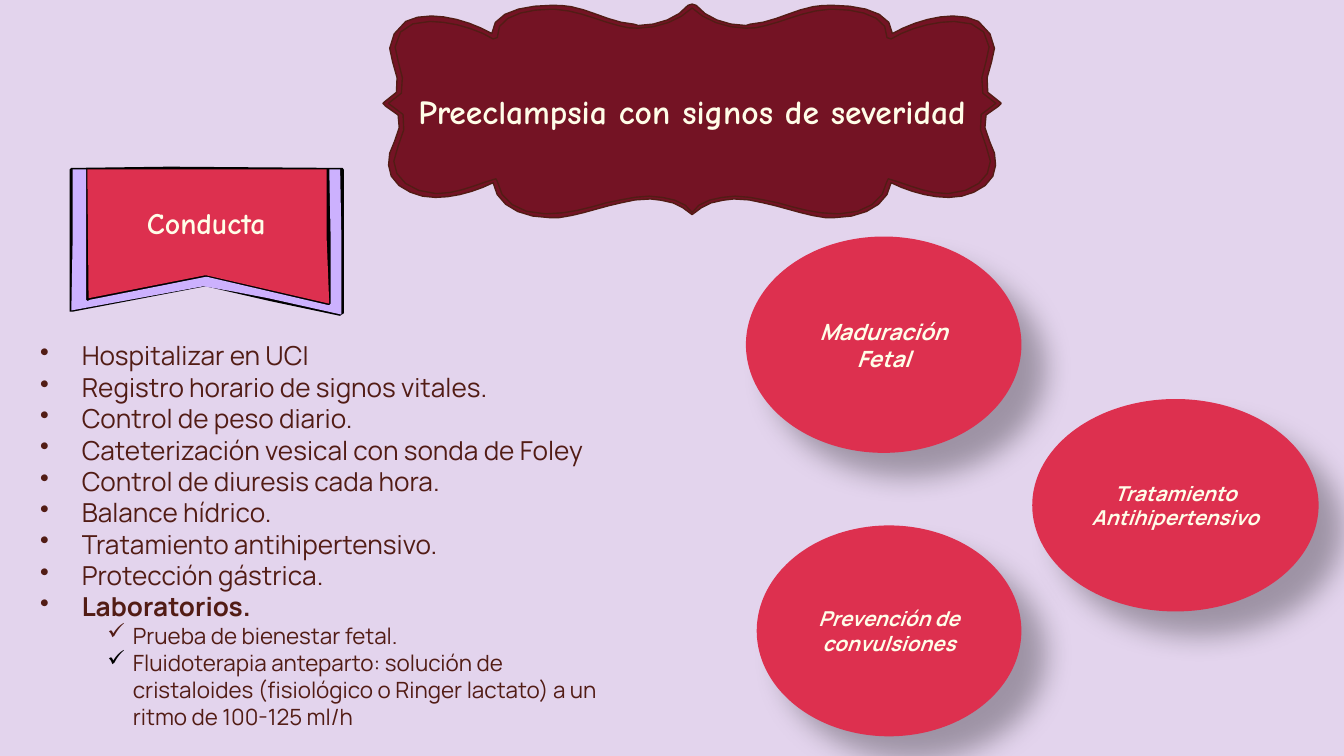
from dataclasses import dataclass
from math import dist
from typing import Optional

from lxml.etree import SubElement
from pptx import Presentation
from pptx.dml.color import RGBColor
from pptx.enum.shapes import MSO_SHAPE as Preset
from pptx.enum.text import MSO_ANCHOR as Anchor, MSO_AUTO_SIZE as AutoSize, PP_ALIGN as Align
from pptx.oxml.ns import qn
from pptx.util import Pt

Point = tuple[float, float]
Step = tuple[float, ...]


@dataclass(frozen=True)
class Theme:
    background: str = "E3D4ED"
    crimson: str = "DD304F"
    maroon: str = "741324"
    brown: str = "521C15"
    cream: str = "FFFDE8"
    lilac: str = "CCB1FE"
    black: str = "000000"
    heading_font: str = "Comic Neue"
    body_font: str = "Manrope"
    banner_size: float = 18
    title_size: float = 16
    item_size: float = 14
    detail_size: float = 12
    small_size: float = 11


@dataclass(frozen=True)
class Style:
    font: str
    size: float
    color: str
    bold: bool = False
    italic: bool = False


@dataclass(frozen=True)
class Item:
    text: str
    bold: bool = False
    detail: bool = False
    align: Align = Align.JUSTIFY
    bullet_color: str = Theme.brown


@dataclass(frozen=True)
class Goal:
    text: str
    left: float
    top: float
    width: float
    height: float
    size: float


THEME = Theme()
BANNER_AXIS = 370.8
SEGMENT_LENGTH = 7

BANNER_INNER: list[Step] = [
    (370.8, 4.3), (364.3, 10.8, 352.8, 15.1, 342, 15.1),
    (338.4, 15.1, 334.8, 15.1, 331.2, 13.7), (319.7, 10.8, 310.3, 5.8, 297.4, 5),
    (294.5, 5), (282.2, 5, 265, 8.6, 266.4, 20.2), (264.2, 20.9),
    (256.3, 15.8, 241.9, 11.5, 230.4, 11.5), (220.3, 11.5, 212.4, 15.1, 211.7, 25.2),
    (211.7, 33.1, 223.2, 51.1, 208.1, 55.4), (225.4, 61.2, 211.7, 77, 211, 86.4),
    (211, 95.8, 220.3, 103, 233.3, 103.7), (234.7, 103.7),
    (245.5, 103.7, 255.6, 98.6, 265.7, 95.8), (266.4, 97.2),
    (267.8, 107.3, 277.9, 114.5, 291.6, 114.5), (293.8, 114.5),
    (304.6, 114.5, 314.6, 111.6, 324.7, 108.7), (332.6, 107.3, 339.8, 105.1, 347.8, 105.1),
    (350.6, 105.1, 352.8, 105.1, 355, 105.8), (361.4, 106.6, 368.6, 109.4, 370.8, 113.8),
]
BANNER_OUTER: list[Step] = [
    (370.8, 2.2), (368.6, 2.9), (363.6, 9.4, 352.8, 13.7, 342, 13.7), (339.8, 13),
    (327.6, 12.2, 317.5, 5.8, 306, 3.6), (303.1, 2.9, 298.8, 2.9, 295.2, 2.9),
    (280.8, 2.9, 263.5, 6.5, 263.5, 18), (254.9, 13, 241.9, 8.6, 231.1, 8.6),
    (226.1, 8.6, 221, 9.4, 217.4, 11.5), (211.7, 15.1, 209.5, 20.9, 208.8, 25.9),
    (208.8, 33.8, 220.3, 50.4, 205.9, 54.7), (205.2, 55.4), (206.6, 56.9),
    (221, 61.2, 211, 74.9, 208.8, 82.1), (207.4, 88.6, 208.1, 95, 213.8, 99.4),
    (219.6, 103.7, 226.1, 105.8, 233.3, 105.8), (244.1, 105.8, 255.6, 102.2, 264.2, 97.9),
    (265.7, 109.4, 278.6, 116.6, 294.5, 116.6), (299.5, 116.6),
    (311, 115.2, 321.8, 110.9, 332.6, 108.7), (337.7, 107.3, 342.7, 106.6, 348.5, 106.6),
    (354.2, 107.3), (361.4, 108, 365.8, 110.9, 370.8, 115),
]
RIBBON_LAYERS: list[tuple[str, list[Point]]] = [
    (THEME.black, [
        (38.2, 90), (90.7, 89.3), (183.6, 90), (184.3, 91), (184.3, 167.8), (182.2, 169.2),
        (144.7, 161.3), (110.2, 153.4), (38.9, 167), (37.4, 167), (37.4, 90.7)]),
    (THEME.lilac, [
        (38.9, 90.7), (38.9, 128.9), (38.2, 166.3), (108.7, 153.4), (109.4, 153.4),
        (125.3, 156.2), (144, 159.8), (182.9, 168.5), (182.9, 128.9), (182.2, 90.7),
        (176.4, 90.7), (177.1, 126.7), (177.1, 162.7), (176.4, 163.4), (175.7, 163.4),
        (110.9, 148.3), (110.2, 148.3), (48.2, 160.6), (46.8, 161.3), (46.1, 160.6),
        (46.1, 90.7)]),
    (THEME.crimson, [
        (46.8, 90.7), (47.5, 159.8), (109.4, 147.6), (110.9, 147.6), (176.4, 162.7),
        (175, 126.7), (175, 90.7)]),
]
ITEMS = [
    Item("Hospitalizar en UCI"),
    Item("Registro horario de signos vitales."),
    Item("Control de peso diario."),
    Item("Cateterización vesical con sonda de Foley"),
    Item("Control de diuresis cada hora."),
    Item("Balance hídrico."),
    Item("Tratamiento antihipertensivo."),
    Item("Protección gástrica."),
    Item("Laboratorios.", bold=True),
    Item("Prueba de bienestar fetal.", detail=True),
    Item("Fluidoterapia anteparto: solución de cristaloides (fisiológico o Ringer lactato) "
         "a un ritmo de 100-125 ml/h", detail=True, align=Align.LEFT, bullet_color=THEME.black),
]
GOALS = [
    Goal("Maduración Fetal", 399.6, 126.7, 147.6, 115.9, THEME.detail_size),
    Goal("Tratamiento Antihipertensivo", 553, 213.8, 153.4, 113.8, THEME.small_size),
    Goal("Prevención de convulsiones", 405.4, 281.5, 141.8, 113, THEME.small_size),
]


def rgb(color: str) -> RGBColor:
    return RGBColor.from_string(color)


def trace(steps: list[Step]) -> list[Point]:
    points: list[Point] = [steps[0]]
    for step in steps[1:]:
        if len(step) == 2:
            points.append(step)
            continue
        nodes = [points[-1], step[0:2], step[2:4], step[4:6]]
        count = max(1, round(dist(nodes[0], nodes[3]) / SEGMENT_LENGTH))
        for t in (i / count for i in range(1, count + 1)):
            weights = ((1 - t) ** 3, 3 * t * (1 - t) ** 2, 3 * t * t * (1 - t), t ** 3)
            points.append(tuple(sum(w * n[axis] for w, n in zip(weights, nodes)) for axis in (0, 1)))
    return points


def mirror(half: list[Point]) -> list[Point]:
    return half + [(2 * BANNER_AXIS - x, y) for x, y in reversed(half[1:-1])]


def draw_outline(shapes, contour: list[Point], fill: str, line: Optional[str] = None):
    start, *others = [(Pt(x), Pt(y)) for x, y in contour]
    builder = shapes.build_freeform(*start)
    builder.add_line_segments(others, close=True)
    outline = builder.convert_to_shape()
    outline.shadow.inherit = False
    outline.fill.solid()
    outline.fill.fore_color.rgb = rgb(fill)
    if line:
        outline.line.color.rgb = rgb(line)
        outline.line.width = Pt(0.75)
    else:
        outline.line.fill.background()
    return outline


def set_frame(frame, inset_y: float = 7.2) -> None:
    frame.word_wrap = True
    frame.auto_size = AutoSize.NONE
    frame.vertical_anchor = Anchor.MIDDLE
    frame.margin_left = frame.margin_right = Pt(7.2)
    frame.margin_top = frame.margin_bottom = Pt(inset_y)


def add_text(paragraph, text: str, style: Style, align: Align = Align.CENTER) -> None:
    paragraph.alignment = align
    run = paragraph.add_run()
    run.text = text
    run.font.name, run.font.size = style.font, Pt(style.size)
    run.font.bold, run.font.italic = style.bold, style.italic
    run.font.color.rgb = rgb(style.color)


def add_item(paragraph, item: Item) -> None:
    size = THEME.detail_size if item.detail else THEME.item_size
    add_text(paragraph, item.text, Style(THEME.body_font, size, THEME.brown, item.bold), item.align)
    paragraph.level = int(item.detail)
    margin, hang, mark = (49.7, 13.7, "✓") if item.detail else (22.3, 22.3, "•")
    properties = paragraph._p.get_or_add_pPr()
    properties.set("marL", str(Pt(margin)))
    properties.set("indent", str(-Pt(hang)))
    SubElement(SubElement(properties, qn("a:buClr")), qn("a:srgbClr"), val=item.bullet_color)
    SubElement(properties, qn("a:buChar"), char=mark)


def draw_goal(shapes, goal: Goal) -> None:
    oval = shapes.add_shape(Preset.OVAL, Pt(goal.left), Pt(goal.top), Pt(goal.width), Pt(goal.height))
    oval.shadow.inherit = False
    oval.fill.solid()
    oval.fill.fore_color.rgb = rgb(THEME.crimson)
    oval.line.fill.background()
    effects = oval._element.spPr.find(qn("a:effectLst"))
    shadow = SubElement(effects, qn("a:outerShdw"), blurRad=str(Pt(15)), dist=str(Pt(18)),
                        dir="2700000", algn="tl", rotWithShape="0")
    tint = SubElement(shadow, qn("a:srgbClr"), val=THEME.black)
    SubElement(tint, qn("a:alpha"), val="30000")
    set_frame(oval.text_frame, 3.6)
    add_text(oval.text_frame.paragraphs[0], goal.text,
             Style(THEME.body_font, goal.size, THEME.cream, True, True))


def main() -> None:
    deck = Presentation()
    deck.slide_width, deck.slide_height = Pt(720), Pt(405)
    slide = deck.slides.add_slide(deck.slide_layouts[5])
    slide.background.fill.solid()
    slide.background.fill.fore_color.rgb = rgb(THEME.background)
    shapes = slide.shapes

    for color, contour in RIBBON_LAYERS:
        draw_outline(shapes, contour, color)

    conduct = shapes.title
    conduct.left, conduct.top, conduct.width, conduct.height = Pt(49.7), Pt(92.9), Pt(121.7), Pt(52.6)
    set_frame(conduct.text_frame)
    add_text(conduct.text_frame.paragraphs[0], "Conducta",
             Style(THEME.heading_font, THEME.title_size, THEME.cream, True))
    shapes._spTree.append(conduct._element)

    measures = shapes.add_textbox(Pt(14.4), Pt(174.2), Pt(323.3), Pt(224.6)).text_frame
    set_frame(measures)
    for index, item in enumerate(ITEMS):
        add_item(measures.add_paragraph() if index else measures.paragraphs[0], item)

    border, plaque = (draw_outline(shapes, mirror(trace(half)), THEME.maroon, THEME.brown)
                      for half in (BANNER_OUTER, BANNER_INNER))
    set_frame(plaque.text_frame)
    add_text(plaque.text_frame.paragraphs[0], "Preeclampsia con signos de severidad",
             Style(THEME.heading_font, THEME.banner_size, THEME.cream, True))

    for goal in GOALS:
        draw_goal(shapes, goal)
    deck.save("out.pptx")


if __name__ == "__main__":
    main()
